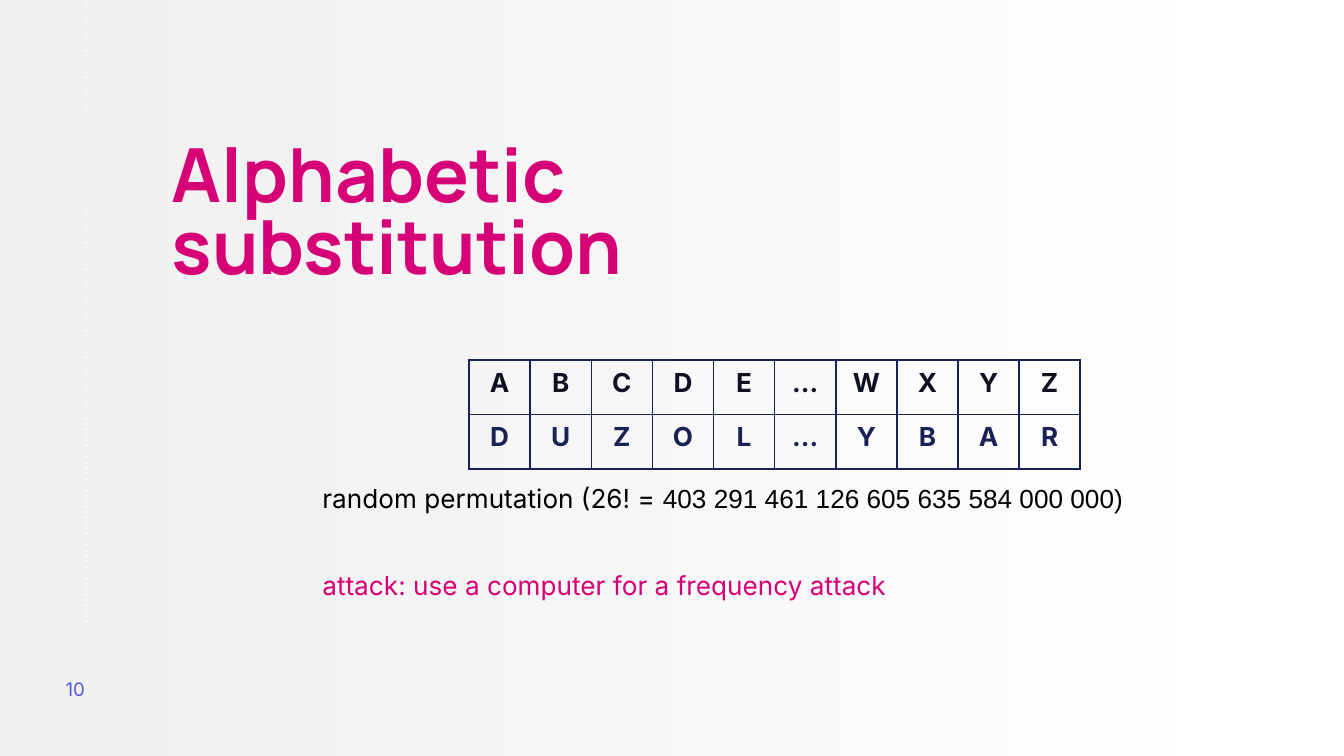
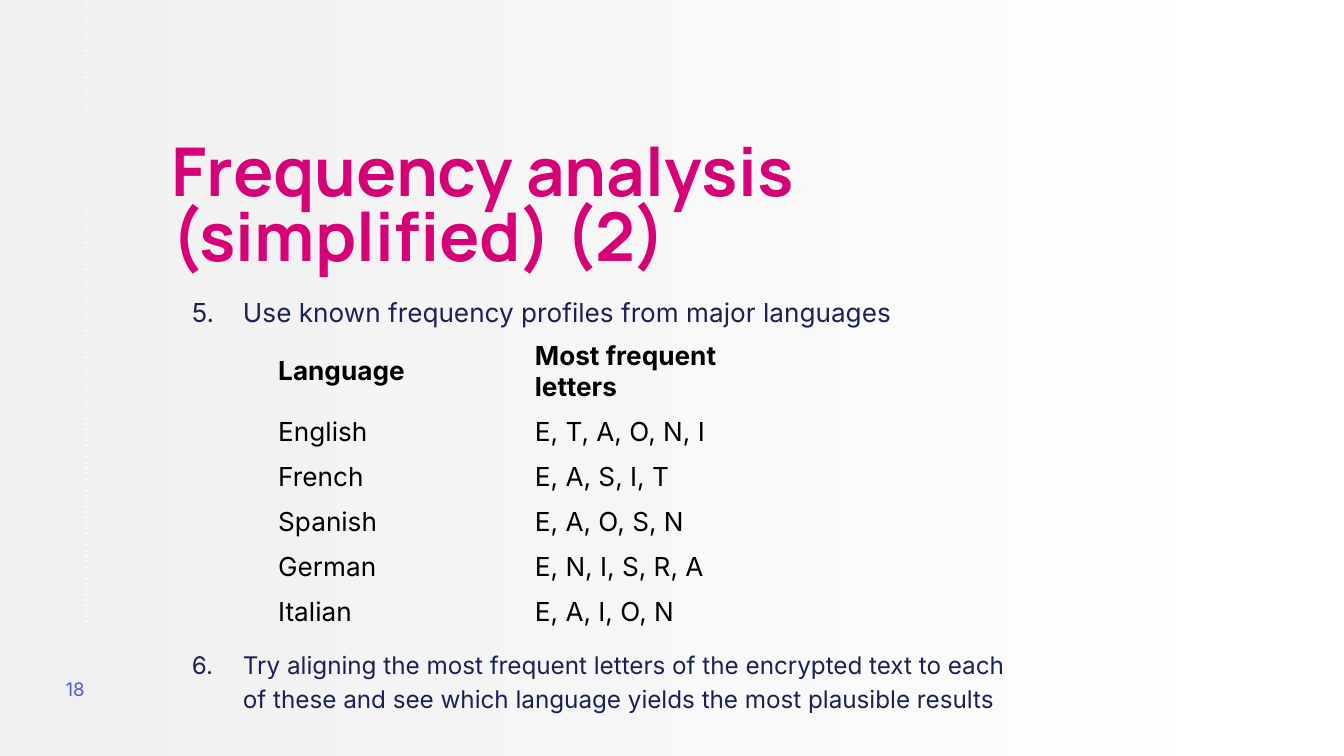
from dataclasses import dataclass
from typing import Optional

from lxml.etree import SubElement
from pptx import Presentation
from pptx.dml.color import RGBColor
from pptx.enum.shapes import MSO_CONNECTOR
from pptx.enum.text import MSO_ANCHOR, MSO_AUTO_SIZE, PP_ALIGN
from pptx.oxml import parse_xml
from pptx.oxml.ns import nsdecls, qn
from pptx.util import Inches, Pt

PINK, NAVY, INK, BLACK = "D60077", "192155", "101023", "000000"
PERIWINKLE, WHITE, GREY = "5358DE", "FFFFFF", "F0F0F0"
BODY, HEADING, FALLBACK = "Inter", "Manrope", "Arial"
NO_STYLE = "{2D5ABB26-0587-4C30-8999-92F81FD0307C}"
RAIL_X = 0.64
RAIL_SPANS = ((0, 0.92), (1.47, 4.71))


@dataclass(frozen=True)
class Style:
    """Look of a run of text."""
    size: float
    color: str
    font: str = BODY
    bold: bool = False


@dataclass(frozen=True)
class Box:
    """Place of an object in inches."""
    left: float
    top: float
    width: float
    height: float


@dataclass(frozen=True)
class Grid:
    """Place and look of a table, with one style for each row."""
    box: Box
    rows: list
    styles: list
    align: Optional[PP_ALIGN] = None
    anchor: MSO_ANCHOR = MSO_ANCHOR.TOP
    border: Optional[str] = None


TITLE_BOX = Box(1.18, 0.98, 6.53, 0.74)
NUMBER_BOX = Box(0.39, 4.91, 0.6, 0.43)
NUMBER = Style(10, PERIWINKLE)
TEXT = Style(14, BLACK)

CIPHER = Grid(
    Box(3.49, 2.68, 4.55, 0.81),
    [list("ABCDE…WXYZ"), list("DUZOL…YBAR")],
    [Style(14, INK, bold=True), Style(14, NAVY, bold=True)],
    align=PP_ALIGN.CENTER,
    border=NAVY,
)
PROFILES = Grid(
    Box(1.97, 2.48, 3.82, 2.01),
    [
        ("Language", "Most frequent letters"),
        ("English", "E, T, A, O, N, I"),
        ("French", "E, A, S, I, T"),
        ("Spanish", "E, A, O, S, N"),
        ("German", "E, N, I, S, R, A"),
        ("Italian", "E, A, I, O, N"),
    ],
    [Style(14, BLACK, bold=True)] + [TEXT] * 5,
    anchor=MSO_ANCHOR.MIDDLE,
)


def rgb(color: str) -> RGBColor:
    """Turn a hex string into a colour."""
    return RGBColor.from_string(color)


def format_font(font, style: Style) -> None:
    """Apply a style to a font."""
    font.name, font.size, font.bold = style.font, Pt(style.size), style.bold
    font.color.rgb = rgb(style.color)


def add_text(slide, box: Box, text: str, style: Style, inset: float = 0.1):
    """Add a wrapping one-paragraph text box and return its frame."""
    s = slide.shapes.add_textbox(Inches(box.left), Inches(box.top),
                                 Inches(box.width), Inches(box.height))
    tf = s.text_frame
    tf.word_wrap = True
    tf.margin_left = tf.margin_right = Inches(0.1)
    tf.margin_top = tf.margin_bottom = Inches(inset)
    tf.text = text
    for r in tf.paragraphs[0].runs:
        format_font(r.font, style)
    return tf


def add_note(slide, box: Box, text: str, style: Style):
    """Add a text box that grows with its text."""
    tf = add_text(slide, box, text, style, inset=0.05)
    tf.auto_size = MSO_AUTO_SIZE.SHAPE_TO_FIT_TEXT
    return tf


def add_step(slide, box: Box, number: int, text: str, size: float) -> None:
    """Add one numbered step with a hanging indent."""
    p = add_text(slide, box, text, Style(size, NAVY)).paragraphs[0]
    pPr = p._p.get_or_add_pPr()
    pPr.set("marL", str(Inches(0.53)))
    pPr.set("indent", str(Inches(-0.38)))
    color = SubElement(pPr, qn("a:buClr"))
    SubElement(color, qn("a:srgbClr"), val=NAVY)
    SubElement(pPr, qn("a:buAutoNum"), type="arabicPeriod", startAt=str(number))
    p.line_spacing = 1.15


def add_borders(cell, color: str) -> None:
    """Draw a one-point line on each side of a cell."""
    tcPr = cell._tc.get_or_add_tcPr()
    for i, side in enumerate("LRTB"):
        tcPr.insert(i, parse_xml(
            f'<a:ln{side} {nsdecls("a")} w="{Pt(1)}"><a:solidFill>'
            f'<a:srgbClr val="{color}"/></a:solidFill></a:ln{side}>'))


def add_grid(slide, grid: Grid) -> None:
    """Add a table with equal rows and columns and clear cells."""
    box, n_rows, n_cols = grid.box, len(grid.rows), len(grid.rows[0])
    table = slide.shapes.add_table(
        n_rows, n_cols, Inches(box.left), Inches(box.top),
        Inches(box.width), Inches(box.height)).table
    table.first_row = table.horz_banding = False
    table._tbl.tblPr.find(qn("a:tableStyleId")).text = NO_STYLE
    for i, (values, style) in enumerate(zip(grid.rows, grid.styles)):
        for j, value in enumerate(values):
            cell = table.cell(i, j)
            cell.text = value
            cell.vertical_anchor = grid.anchor
            cell.fill.background()
            p = cell.text_frame.paragraphs[0]
            p.alignment = grid.align
            format_font(p.runs[0].font, style)
            if grid.border:
                add_borders(cell, grid.border)


def add_rail(slide) -> None:
    """Draw the dotted line down the left side."""
    for top, bottom in RAIL_SPANS:
        s = slide.shapes.add_connector(
            MSO_CONNECTOR.STRAIGHT, Inches(RAIL_X), Inches(top),
            Inches(RAIL_X), Inches(bottom))
        s.line.color.rgb = rgb(WHITE)
        s.line.width = Pt(0.75)
        spPr = s._element.spPr
        SubElement(spPr.find(qn("a:ln")), qn("a:prstDash"), val="dot")
        SubElement(spPr, qn("a:effectLst"))


def new_slide(prs, number: int, title: str, title_size: float):
    """Add a slide with its background, rail, number and title."""
    slide = prs.slides.add_slide(prs.slide_layouts[6])
    fill = slide.background.fill
    fill.gradient()
    fill.gradient_angle = 180
    for stop, color in zip(fill.gradient_stops, (WHITE, GREY)):
        stop.color.rgb = rgb(color)
    add_rail(slide)
    tf = add_text(slide, NUMBER_BOX, str(number), NUMBER)
    tf.vertical_anchor = MSO_ANCHOR.MIDDLE
    tf = add_text(slide, TITLE_BOX, title, Style(title_size, PINK, HEADING, True))
    tf.paragraphs[0].line_spacing = 0.8
    return slide


def add_substitution_slide(prs) -> None:
    """Build the slide on alphabetic substitution."""
    slide = new_slide(prs, 10, "Alphabetic substitution", 40)
    add_grid(slide, CIPHER)
    tf = add_note(slide, Box(2.3, 3.54, 6.19, 0.34),
                  "random permutation (26! = ", TEXT)
    r = tf.paragraphs[0].add_run()
    r.text = "403 291 461 126 605 635 584 000 000)"
    format_font(r.font, Style(14, BLACK, FALLBACK))
    add_note(slide, Box(2.3, 4.19, 5.75, 0.34),
             "attack: use a computer for a frequency attack", Style(14, PINK))


def add_frequency_slide(prs) -> None:
    """Build the slide on frequency analysis."""
    slide = new_slide(prs, 18, "Frequency analysis\v(simplified) (2)", 36)
    add_step(slide, Box(1.18, 2.07, 6.53, 0.49), 5,
             "Use known frequency profiles from major languages", 14)
    add_grid(slide, PROFILES)
    add_step(slide, Box(1.18, 4.71, 6.53, 0.79), 6,
             "Try aligning the most frequent letters of the encrypted text to "
             "each of these and see which language yields the most plausible "
             "results", 12.95)


def main() -> None:
    """Build and save the presentation."""
    prs = Presentation()
    prs.slide_width = Inches(10)
    prs.slide_height = prs.slide_width * 9 // 16
    add_substitution_slide(prs)
    add_frequency_slide(prs)
    prs.save("out.pptx")


if __name__ == "__main__":
    main()
